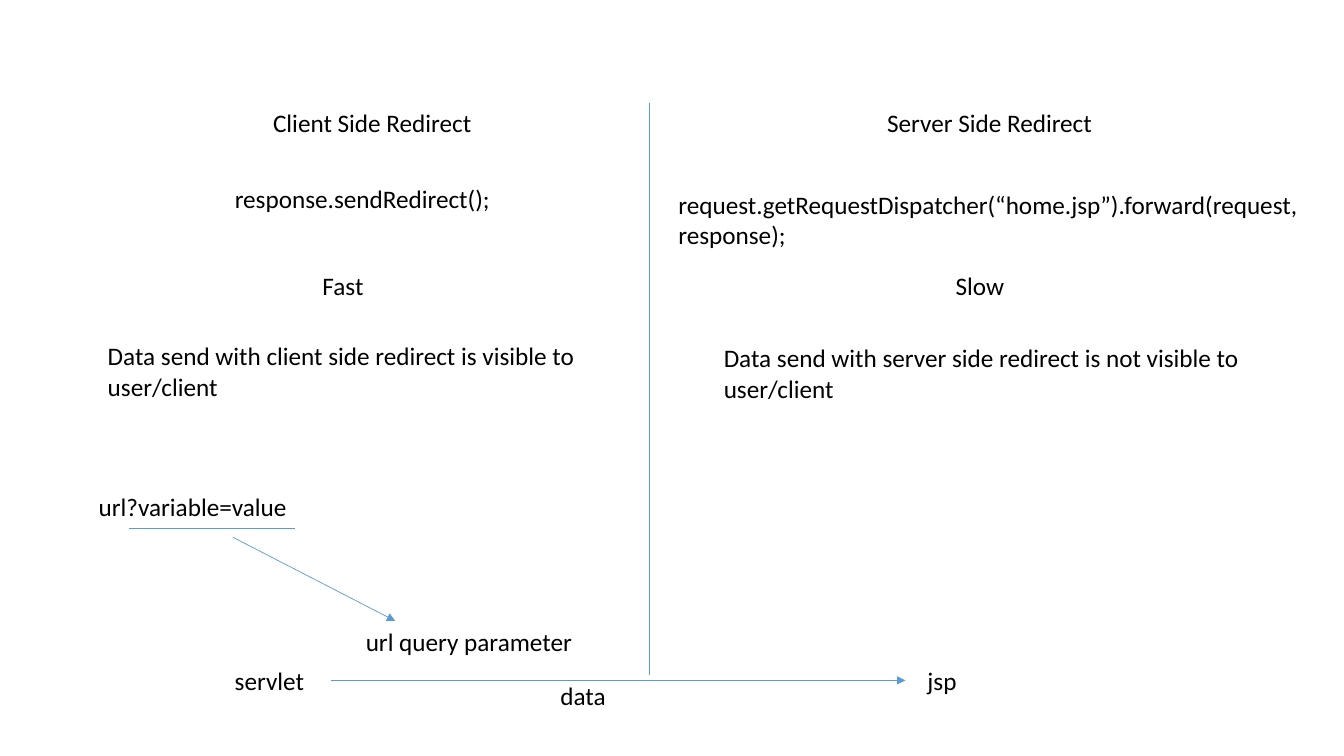
from lxml.etree import SubElement
from pptx import Presentation
from pptx.dml.color import RGBColor
from pptx.enum.shapes import MSO_CONNECTOR as Link
from pptx.enum.text import MSO_AUTO_SIZE as Fit
from pptx.oxml.ns import qn
from pptx.util import Pt

PX = 9144  # EMU in one px, 100 px to the inch
WIDTH, HEIGHT = 1333, 750
ROW, PAIR = 40, 71  # heights of one and two lines of text
BLACK = RGBColor(0x00, 0x00, 0x00)
BLUE = RGBColor(0x5B, 0x9B, 0xD5)
FONT = "Calibri"


def label(slide, text, x, y, w, h=ROW, wrap=False):
    box = slide.shapes.add_textbox(x * PX, y * PX, w * PX, h * PX)
    frame = box.text_frame
    frame.word_wrap = wrap
    frame.auto_size = Fit.SHAPE_TO_FIT_TEXT
    frame.text = text
    font = frame.paragraphs[0].runs[0].font
    font.name, font.size = FONT, Pt(18)
    font.color.rgb = BLACK


def rule(slide, x1, y1, x2, y2, arrow=False):
    line = slide.shapes.add_connector(
        Link.STRAIGHT, x1 * PX, y1 * PX, x2 * PX, y2 * PX)
    line.line.color.rgb = BLUE
    line.line.width = Pt(0.5)
    if arrow:
        SubElement(line.line._get_or_add_ln(), qn("a:tailEnd"), type="triangle")
    SubElement(line._element.spPr, qn("a:effectLst"))


def column(slide, box, head, call, speed, note):
    """Place four facts; each is its text, then x, y, width and the rest."""
    left, top = box
    for text, x, y, *size in (head, call, speed, note):
        label(slide, text, left + x, top + y, *size)


def query(slide, box):
    """Underlined query string with an arrow to its name."""
    x, y = box
    label(slide, "url?variable=value", x, y, 209)
    rule(slide, x + 40, y + 41, x + 205, y + 41)
    rule(slide, x + 143, y + 50, x + 304, y + 133, arrow=True)
    label(slide, "url query parameter", x + 265, y + 133, 227)


def flow(slide, box):
    """Data arrow from servlet to jsp."""
    x, y = box
    mid = y + ROW // 2
    label(slide, "servlet", x, y, 90)
    rule(slide, x + 105, mid, x + 675, mid, arrow=True)
    label(slide, "jsp", x + 687, y, 49)
    label(slide, "data", x + 323, y + 15, 66)


def main():
    deck = Presentation()
    deck.slide_width, deck.slide_height = WIDTH * PX, HEIGHT * PX
    slide = deck.slides.add_slide(deck.slide_layouts[6])
    column(
        slide, (97, 102),
        ("Client Side Redirect", 164, 0, 219),
        ("response.sendRedirect();", 126, 75, 281),
        ("Fast", 213, 161, 61),
        ("Data send with client side redirect is visible to user/client",
         0, 231, 549, PAIR, True))
    column(
        slide, (663, 102),
        ("Server Side Redirect", 207, 0, 226),
        ("request.getRequestDispatcher(“home.jsp”).forward(request, response);",
         0, 81, 656, PAIR, True),
        ("Slow", 275, 161, 69),
        ("Data send with server side redirect is not visible to user/client",
         45, 233, 549, PAIR, True))
    rule(slide, 644, 102, 644, 670)
    query(slide, (88, 483))
    flow(slide, (223, 655))
    deck.save("out.pptx")


if __name__ == "__main__":
    main()
